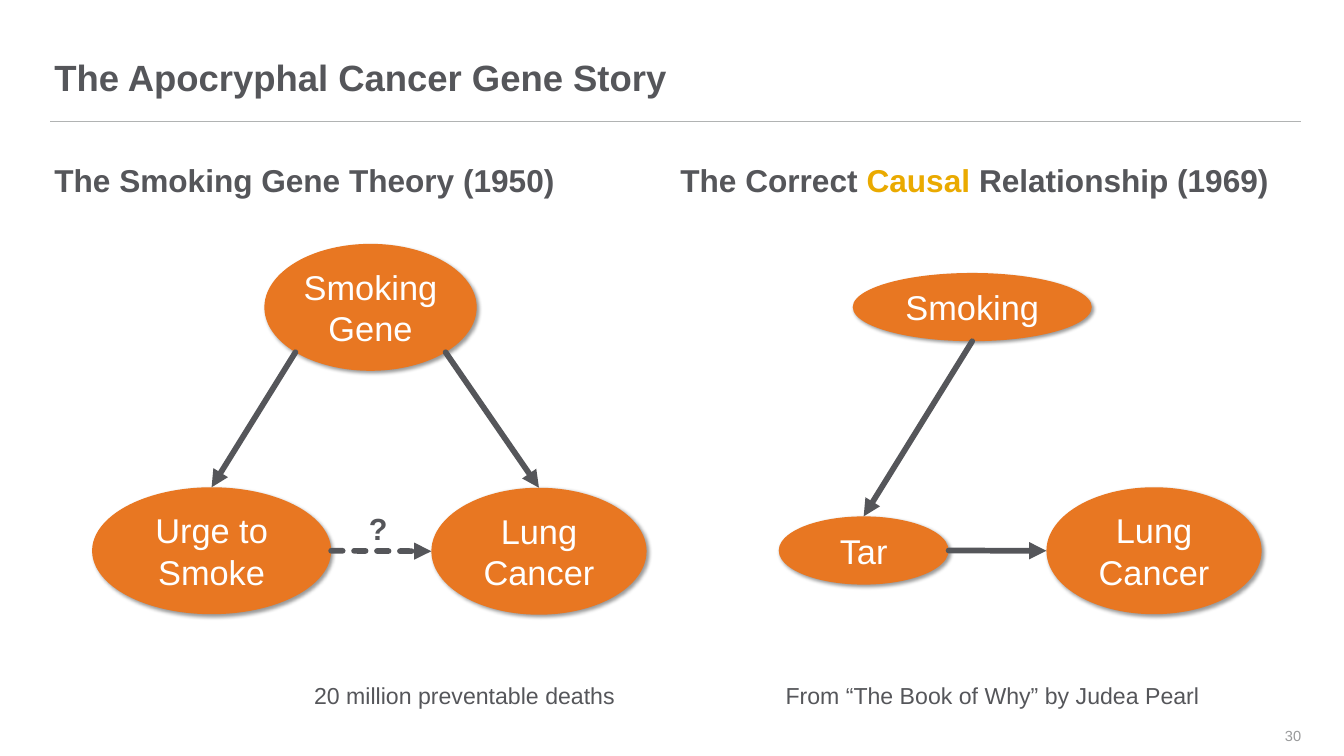
from math import cos, radians, sin

from lxml import etree
from pptx import Presentation
from pptx.dml.color import RGBColor
from pptx.enum.dml import MSO_LINE
from pptx.enum.shapes import MSO_CONNECTOR, MSO_SHAPE
from pptx.enum.text import MSO_ANCHOR, PP_ALIGN
from pptx.oxml.ns import qn
from pptx.util import Pt

STRAIGHT, ELLIPSE, DASHED = MSO_CONNECTOR.STRAIGHT, MSO_SHAPE.OVAL, MSO_LINE.SQUARE_DOT
TOP, MIDDLE, BOTTOM = MSO_ANCHOR.TOP, MSO_ANCHOR.MIDDLE, MSO_ANCHOR.BOTTOM
LEFT, CENTER, RIGHT = PP_ALIGN.LEFT, PP_ALIGN.CENTER, PP_ALIGN.RIGHT

COLORS = {"text": "55565A", "accent": "EAAA00", "node": "E87722", "node_text": "FFFFFF",
          "rule": "B1B3B3", "number": "999A9B", "shadow": "000000"}
SIDES = {"right": 0, "lower right": 45, "bottom": 90, "lower left": 135, "left": 180, "top": 270}
HEADING = {"size": 33.1, "bold": True, "spacing": 0.95, "inset": 0}
CAPTION = {"size": 24.2}

THEORY = {
    "heading": ([("The Smoking Gene Theory (1950)", "text")], 530),
    "nodes": {
        "gene": (["Smoking", "Gene"], (220, 84.5, 222.5, 133)),
        "urge": (["Urge to", "Smoke"], (39.5, 339.5, 250.5, 133)),
        "cancer": (["Lung", "Cancer"], (395, 340, 225.5, 133)),
    },
    "arrows": [("gene", "lower left", "urge", "top", False),
               ("gene", "lower right", "cancer", "top", False),
               ("urge", "right", "cancer", "left", True)],
    "notes": [("20 million preventable deaths", (265, 539, 370, 37), CAPTION),
              ("?", (322.5, 359.5, 34.5, 46), {"size": 32, "bold": True, "wrap": False})],
}
RELATIONSHIP = {
    "heading": ([("The Correct ", "text"), ("Causal", "accent"),
                 (" Relationship (1969)", "text")], 651),
    "nodes": {
        "smoking": (["Smoking"], (180.5, 115, 250.5, 71.5)),
        "tar": (["Tar"], (103, 370, 178, 71.5)),
        "cancer": (["Lung", "Cancer"], (383.5, 339.5, 225.5, 133)),
    },
    "arrows": [("smoking", "bottom", "tar", "top", False),
               ("tar", "right", "cancer", "left", False)],
    "notes": [("From “The Book of Why” by Judea Pearl", (103, 539, 467, 37), CAPTION)],
}


def rgb(name):
    """Return the palette colour with the given name."""
    return RGBColor.from_string(COLORS[name])


def write(frame, lines, size, bold=False, align=LEFT, anchor=TOP, spacing=1.0,
          inset=None, wrap=True):
    """Fill a text frame with lines, each a list of (text, colour) runs."""
    frame.word_wrap, frame.vertical_anchor = wrap, anchor
    if inset is not None:
        for side in ("left", "top", "right", "bottom"):
            setattr(frame, f"margin_{side}", Pt(inset))
    for index, line in enumerate(lines):
        paragraph = frame.add_paragraph() if index else frame.paragraphs[0]
        paragraph.alignment, paragraph.line_spacing = align, spacing
        for text, color in line:
            run = paragraph.add_run()
            run.text = text
            for key, value in {"name": "Arial", "size": Pt(size), "bold": bold}.items():
                setattr(run.font, key, value)
            run.font.color.rgb = rgb(color)


def add_text(slide, box, runs, **style):
    """Add a one-line text box."""
    write(slide.shapes.add_textbox(*map(Pt, box)).text_frame, [runs], **style)


def add_line(slide, start, end, color, width):
    """Add a straight line without a shadow."""
    line = slide.shapes.add_connector(STRAIGHT, *map(Pt, (*start, *end)))
    line.line.color.rgb, line.line.width = rgb(color), Pt(width)
    etree.SubElement(line._element.spPr, qn("a:effectLst"))
    return line


def add_arrow(slide, start, end, dashed):
    """Add a thick round-capped arrow."""
    arrow = add_line(slide, start, end, "text", 6)
    if dashed:
        arrow.line.dash_style = DASHED
    outline = arrow.line._get_or_add_ln()
    outline.set("cap", "rnd")
    etree.SubElement(outline, qn("a:round"))
    etree.SubElement(outline, qn("a:tailEnd"), type="triangle")


def add_node(slide, box, words):
    """Add a labelled ellipse with a soft shadow."""
    node = slide.shapes.add_shape(ELLIPSE, *map(Pt, box))
    node.fill.solid()
    node.fill.fore_color.rgb = rgb("node")
    node.line.fill.background()
    node.shadow.inherit = False
    effects = node._element.spPr.find(qn("a:effectLst"))
    shadow = etree.SubElement(effects, qn("a:outerShdw"), blurRad=str(Pt(4)), dist=str(Pt(3)),
                              dir="2700000", algn="tl", rotWithShape="0")
    color = etree.SubElement(shadow, qn("a:srgbClr"), val=COLORS["shadow"])
    etree.SubElement(color, qn("a:alpha"), val="40000")
    write(node.text_frame, [[(word, "node_text")] for word in words], 36,
          align=CENTER, anchor=MIDDLE)


def edge(box, side):
    """Return the point on an ellipse's rim at the named side."""
    left, top, width, height = box
    angle = radians(SIDES[side])
    return left + width / 2 * (1 + cos(angle)), top + height / 2 * (1 + sin(angle))


def add_diagram(slide, left, top, content):
    """Place a headed causal diagram from its top-left corner."""
    def place(box):
        """Shift a box into the diagram."""
        return left + box[0], top + box[1], box[2], box[3]

    runs, width = content["heading"]
    add_text(slide, (left, top, width, 57), runs, **HEADING)
    boxes = {key: place(box) for key, (_, box) in content["nodes"].items()}
    for key, (words, _) in content["nodes"].items():
        add_node(slide, boxes[key], words)
    for cause, exit_side, effect, entry_side, dashed in content["arrows"]:
        add_arrow(slide, edge(boxes[cause], exit_side), edge(boxes[effect], entry_side), dashed)
    for text, box, style in content["notes"]:
        add_text(slide, place(box), [(text, "text")], **style)


def add_frame(slide, left, right):
    """Place the title, rule and slide number between the margins."""
    add_line(slide, (left - 4.5, 127.5), (right, 127.5), "rule", 1)
    add_text(slide, (left, 21, right - left, 83), [("The Apocryphal Cancer Gene Story", "text")],
             size=38.2, bold=True, anchor=BOTTOM, spacing=0.9, inset=0)
    add_text(slide, (right - 62.5, 749, 62.5, 42.5), [("30", "number")],
             size=15.3, align=RIGHT, anchor=MIDDLE, inset=0)


def main():
    """Build and save the slide."""
    deck = Presentation()
    deck.slide_width, deck.slide_height = Pt(1408.32), Pt(792)
    slide = deck.slides.add_slide(deck.slide_layouts[6])
    add_frame(slide, 57, 1363.5)
    add_diagram(slide, 57, 171, THEORY)
    add_diagram(slide, 713, 171, RELATIONSHIP)
    deck.save("out.pptx")


if __name__ == "__main__":
    main()
